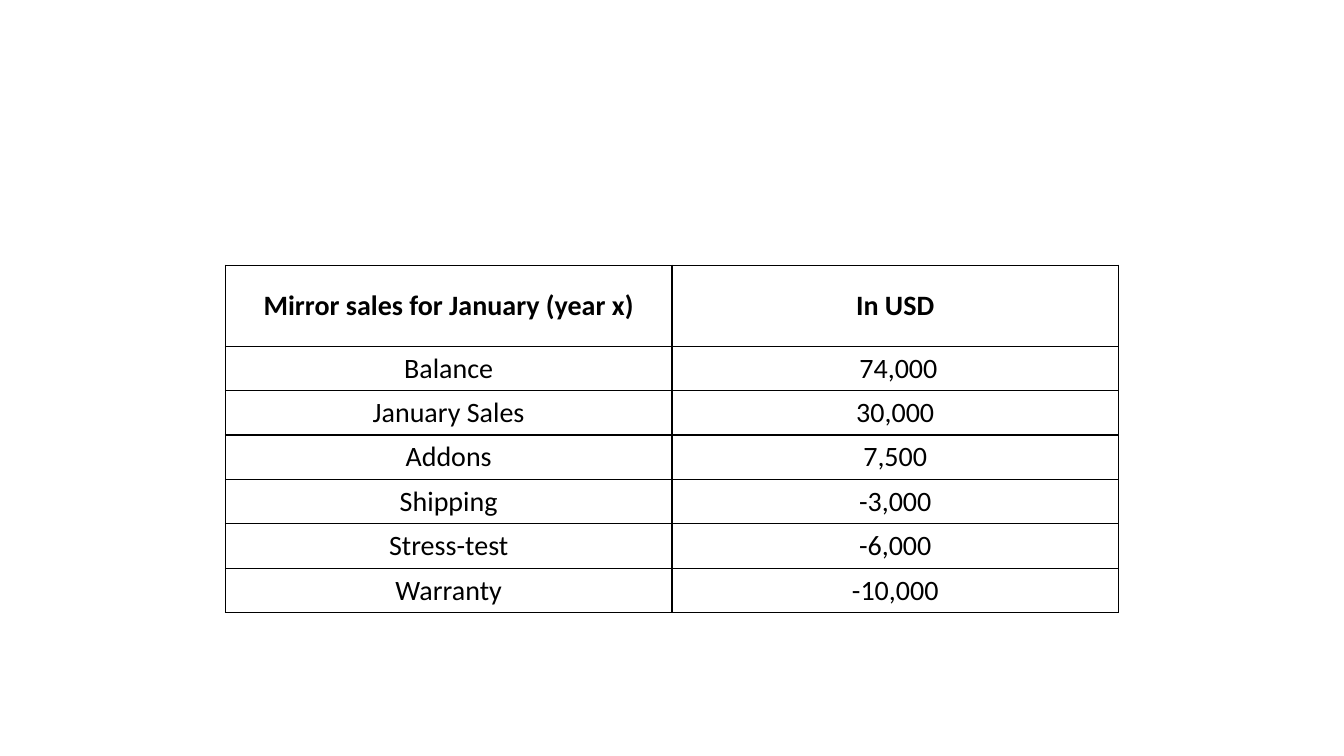
from lxml import etree
from pptx import Presentation
from pptx.dml.color import RGBColor
from pptx.enum import text
from pptx.oxml import ns
from pptx.util import Pt

COLORS = {"ink": "000000", "paper": "FFFFFF"}
FONT = "Calibri"
SALES = [
    ("Mirror sales for January (year x)", "In USD"),
    ("Balance", " 74,000"),
    ("January Sales", "30,000"),
    ("Addons", "7,500"),
    ("Shipping", "-3,000"),
    ("Stress-test", "-6,000"),
    ("Warranty", "-10,000"),
]


def add_borders(cell, color, width):
    """Line all four sides; the lines must precede the fill in the cell properties."""
    props = cell._tc.get_or_add_tcPr()
    for position, side in enumerate(("lnL", "lnR", "lnT", "lnB")):
        line = etree.Element(ns.qn(f"a:{side}"), w=str(width))
        fill = etree.SubElement(line, ns.qn("a:solidFill"))
        etree.SubElement(fill, ns.qn("a:srgbClr"), val=color)
        props.insert(position, line)


def fill_cell(cell, wording, bold):
    cell.fill.solid()
    cell.fill.fore_color.rgb = RGBColor.from_string(COLORS["paper"])
    add_borders(cell, COLORS["ink"], Pt(1))
    cell.vertical_anchor = text.MSO_ANCHOR.MIDDLE
    para = cell.text_frame.paragraphs[0]
    para.alignment = text.PP_ALIGN.CENTER
    span = para.add_run()
    span.text = wording
    span.font.name = FONT
    span.font.size = Pt(20)
    span.font.bold = bold
    span.font.color.rgb = RGBColor.from_string(COLORS["ink"])


def add_sales_table(page, left, top, width, header_height, row_height):
    height = header_height + row_height * (len(SALES) - 1)
    columns = len(SALES[0])
    table = page.shapes.add_table(
        len(SALES), columns, Pt(left), Pt(top), Pt(width), Pt(height)
    ).table
    table.horz_banding = False
    for column in table.columns:
        column.width = Pt(width / columns)
    for index, entry in enumerate(SALES):
        is_header = index == 0
        table.rows[index].height = Pt(header_height if is_header else row_height)
        for cell, wording in zip(table.rows[index].cells, entry):
            fill_cell(cell, wording, is_header)


def main():
    deck = Presentation()
    deck.slide_width, deck.slide_height = Pt(960), Pt(540)
    page = deck.slides.add_slide(deck.slide_layouts[6])
    add_sales_table(page, left=161, top=189.5, width=638, header_height=57.8, row_height=31.7)
    deck.save("out.pptx")


if __name__ == "__main__":
    main()
